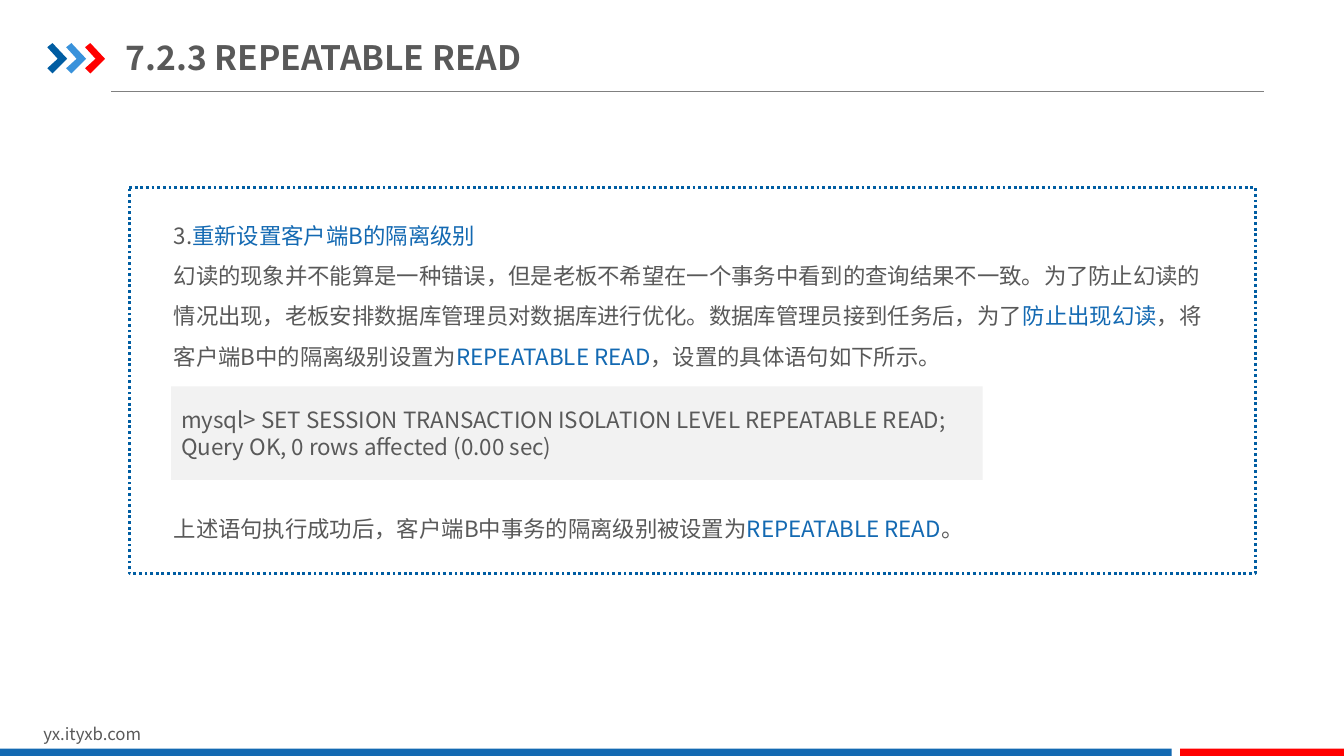
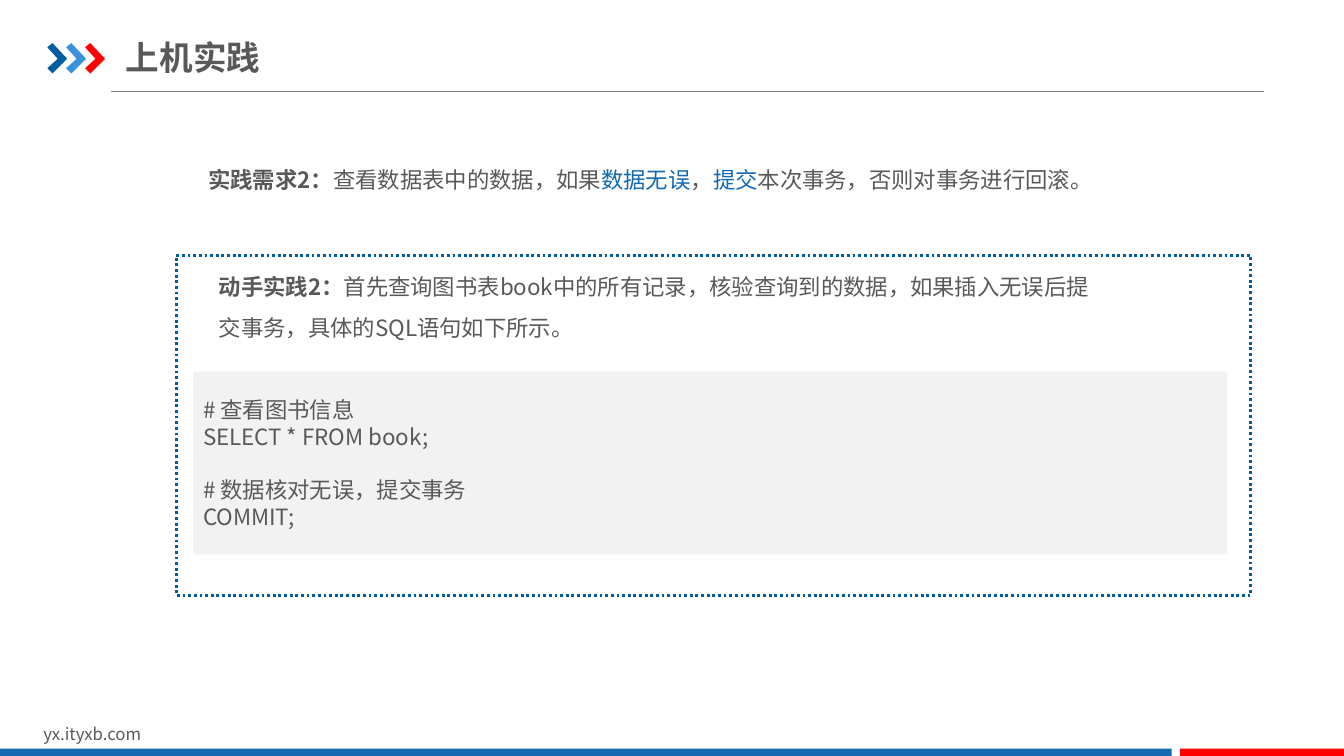
from lxml import etree
from pptx import Presentation
from pptx.dml.color import RGBColor
from pptx.enum.dml import MSO_LINE
from pptx.enum.shapes import MSO_CONNECTOR, MSO_SHAPE
from pptx.enum.text import MSO_ANCHOR, MSO_AUTO_SIZE, PP_ALIGN
from pptx.oxml.ns import qn
from pptx.util import Pt

RECT, PROCESS = MSO_SHAPE.RECTANGLE, MSO_SHAPE.FLOWCHART_PROCESS
STRAIGHT, DOTTED = MSO_CONNECTOR.STRAIGHT, MSO_LINE.ROUND_DOT
MIDDLE, LEFT = MSO_ANCHOR.MIDDLE, PP_ALIGN.LEFT
GROW = MSO_AUTO_SIZE.SHAPE_TO_FIT_TEXT

PX = 9525  # EMU per px, 96 px to the inch
FONT = "Noto Sans CJK SC"
TEXT, KEY, NAVY, SKY = "595959", "1369B2", "005DA2", "3992DB"
RED, RULE, CODE, WHITE = "FF0000", "808080", "F2F2F2", "FFFFFF"
color = RGBColor.from_string

# Each paragraph is a list of (text, style); style is "", "key" or "bold"
pages = [
    {
        "title": "7.2.3 REPEATABLE READ",
        "frame": (123, 179, 1073, 367),
        "code_box": (163, 368, 773, 89),
        "code": [
            ["mysql> SET SESSION TRANSACTION ISOLATION LEVEL REPEATABLE READ;",
             "Query OK, 0 rows affected (0.00 sec)"],
        ],
        "texts": [
            ((156, 194, 1008, 165), [
                [("3.", ""), ("重新设置客户端B的隔离级别", "key")],
                [("幻读的现象并不能算是一种错误，但是老板不希望在一个事务中看到的查询结果不一致。"
                  "为了防止幻读的情况出现，老板安排数据库管理员对数据库进行优化。"
                  "数据库管理员接到任务后，为了", ""),
                 ("防止出现幻读", "key"),
                 ("，将客户端B中的隔离级别设置为", ""),
                 ("REPEATABLE READ", "key"),
                 ("，设置的具体语句如下所示。", "")],
            ]),
            ((156, 473, 808, 48), [
                [("上述语句执行成功后，客户端B中事务的隔离级别被设置为", ""),
                 ("REPEATABLE READ", "key"), ("。", "")],
            ]),
        ],
    },
    {
        "title": "上机实践",
        "frame": (168, 243, 1023, 324),
        "code_box": (184, 354, 985, 174),
        "code": [
            ["# 查看图书信息", "SELECT * FROM book;"],
            ["# 数据核对无误，提交事务", "COMMIT;"],
        ],
        "texts": [
            ((189, 141, 982, 48), [
                [("实践需求2：", "bold"), ("查看数据表中的数据，如果", ""),
                 ("数据无误", "key"), ("，", ""), ("提交", "key"),
                 ("本次事务，否则对事务进行回滚。", "")],
            ]),
            ((199, 243, 856, 87), [
                [("动手实践2：", "bold"),
                 ("首先查询图书表book中的所有记录，核验查询到的数据，如果插入无误后"
                  "提交事务，具体的SQL语句如下所示。", "")],
            ]),
        ],
    },
]


def add_block(slide, kind, box, fill):
    block = slide.shapes.add_shape(kind, *[v * PX for v in box])
    block.shadow.inherit = False
    block.fill.solid()
    block.fill.fore_color.rgb = color(fill)
    block.line.fill.background()
    return block


def write(frame, paragraphs, size=16, spacing=None):
    frame.word_wrap = True
    for i, runs in enumerate(paragraphs):
        para = frame.paragraphs[0] if i == 0 else frame.add_paragraph()
        para.alignment = LEFT
        if spacing:
            para.line_spacing = spacing
        para.font.name = FONT
        para.font.size = Pt(size)
        para.font.color.rgb = color(TEXT)
        defaults = para._p.pPr.find(qn("a:defRPr"))
        etree.SubElement(defaults, qn("a:ea")).set("typeface", FONT)
        for text, style in runs:
            run = para.add_run()
            run.text = text
            if style == "key":
                run.font.color.rgb = color(KEY)
            elif style == "bold":
                run.font.bold = True


deck = Presentation()
deck.slide_width, deck.slide_height = 1280 * PX, 720 * PX

for page in pages:
    slide = deck.slides.add_slide(deck.slide_layouts[6])
    shapes = slide.shapes

    # Rule under the title
    rule = shapes.add_connector(STRAIGHT, 106 * PX, 87 * PX, 1204 * PX, 87 * PX)
    rule.line.color.rgb = color(RULE)
    rule.line.width = Pt(0.75)
    etree.SubElement(rule._element.spPr, qn("a:effectLst"))

    # Three chevrons beside the title
    for i, tint in enumerate((NAVY, SKY, RED)):
        left = 45 + 18 * i
        outline = shapes.build_freeform(left, 45, scale=PX)
        outline.add_line_segments(
            [(left + 5, 41), (left + 19, 56), (left + 5, 70), (left, 65), (left + 10, 56)])
        chevron = outline.convert_to_shape()
        chevron.shadow.inherit = False
        chevron.fill.solid()
        chevron.fill.fore_color.rgb = color(tint)
        chevron.line.fill.background()

    # Title
    title = shapes.add_textbox(120 * PX, 28 * PX, 461 * PX, 53 * PX).text_frame
    title.margin_left = title.margin_right = 0
    title.margin_top = title.margin_bottom = 7 * PX
    title.vertical_anchor = MIDDLE
    write(title, [[(page["title"], "bold")]], size=24)

    # Footer address and bands
    footer = shapes.add_textbox(32 * PX, 685 * PX, 305 * PX, 29 * PX).text_frame
    write(footer, [[("yx.ityxb.com", "")]], size=12)
    add_block(slide, RECT, (0, 713, 1116, 7), KEY)
    add_block(slide, RECT, (1124, 713, 156, 7), RED)

    # Dotted frame
    border = add_block(slide, PROCESS, page["frame"], WHITE).line
    border.color.rgb = color(NAVY)
    border.width = Pt(2)
    border.dash_style = DOTTED

    # Explanations
    for box, paragraphs in page["texts"]:
        passage = shapes.add_textbox(*[v * PX for v in box]).text_frame
        write(passage, paragraphs, spacing=1.5)
        passage.auto_size = GROW

    # Code panel, one line's gap between statements
    code = add_block(slide, RECT, page["code_box"], CODE).text_frame
    code.vertical_anchor = MIDDLE
    write(code, [[(line, "")] for group in page["code"] for line in group])
    start = 0
    for group in page["code"]:
        if start:
            code.paragraphs[start].space_before = Pt(19)
        start += len(group)

deck.save("out.pptx")
